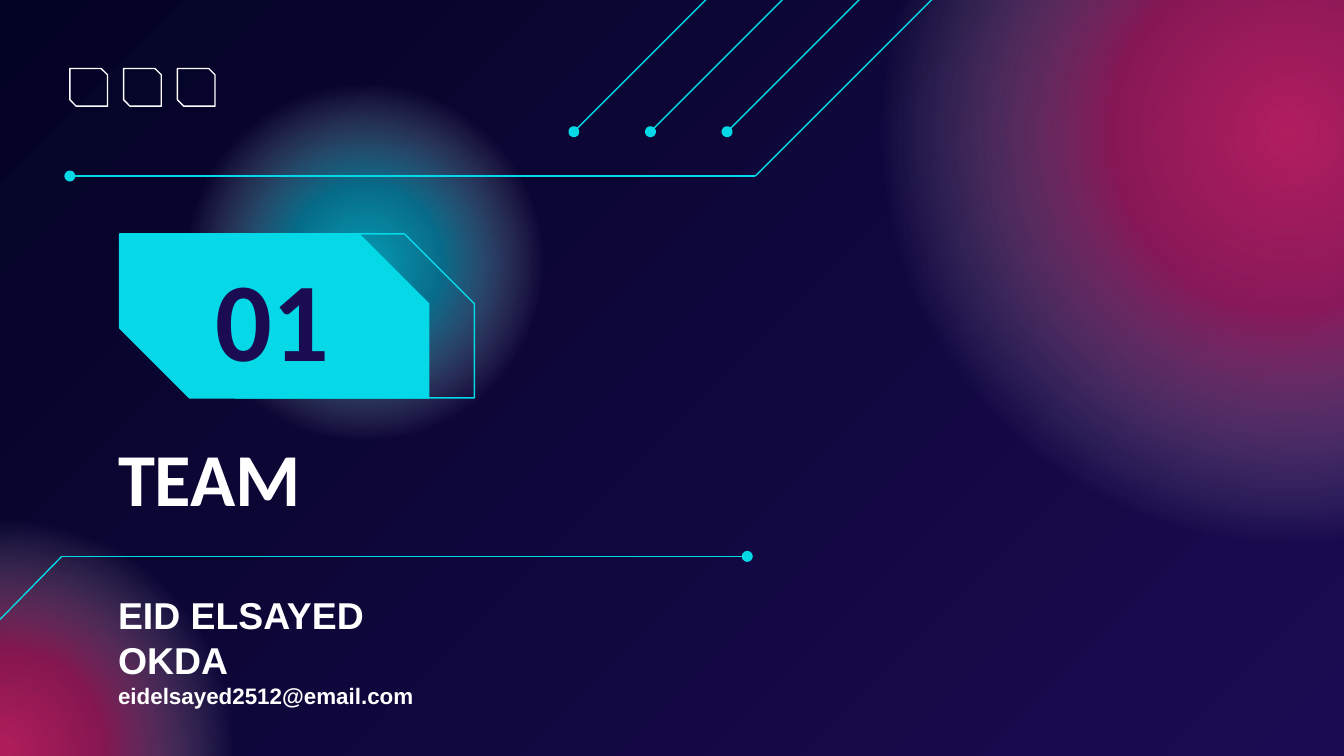
from lxml import etree
from pptx import Presentation
from pptx.dml.color import RGBColor
from pptx.enum.shapes import MSO_CONNECTOR as Connector, MSO_SHAPE as Shape
from pptx.enum.text import MSO_ANCHOR as Anchor, PP_ALIGN as Align
from pptx.oxml import parse_xml
from pptx.oxml.ns import nsdecls, qn
from pptx.util import Inches, Pt

CYAN, PINK, WHITE, NAVY, INDIGO = "05D8E7", "FF296D", "FFFFFF", "030325", "1B0B52"


def rgb(hex_color):
    return RGBColor.from_string(hex_color)


def inches(*lengths):
    return [Inches(length) for length in lengths]


deck = Presentation()
deck.slide_width = Inches(10)
deck.slide_height = Inches(10 * 9 / 16)
page = deck.slides.add_slide(deck.slide_layouts[6])

# Diagonal background
backdrop = page.background.fill
backdrop.gradient()
backdrop.gradient_angle = 315
for stop, color in zip(backdrop.gradient_stops, (NAVY, INDIGO)):
    stop.color.rgb = rgb(color)

# Glows: left, top, diameter, color, opacity percent at the centre and at 30 %
glows = [
    (-1.69, 3.83, 3.46, PINK, 67, 49),
    (6.47, -2.14, 6.25, PINK, 67, 49),
    (1.35, 0.59, 2.72, CYAN, 71, 48),
]
for left, top, size, color, centre, middle in glows:
    glow = page.shapes.add_shape(Shape.OVAL, *inches(left, top, size, size))
    glow.shadow.inherit = False
    glow.line.fill.background()
    glow.fill.gradient()
    stops = "".join(
        f'<a:gs pos="{position * 1000}"><a:srgbClr val="{stop_color}">'
        f'<a:alpha val="{opacity * 1000}"/></a:srgbClr></a:gs>'
        for position, stop_color, opacity in (
            (0, color, centre), (30, color, middle), (69, WHITE, 0), (100, WHITE, 0))
    )
    radial = parse_xml(
        f'<a:gradFill {nsdecls("a")} rotWithShape="1"><a:gsLst>{stops}</a:gsLst>'
        '<a:path path="circle"><a:fillToRect l="50000" t="50000" r="50000" b="50000"/>'
        "</a:path></a:gradFill>"
    )
    properties = glow._element.spPr
    properties.replace(properties.find(qn("a:gradFill")), radial)

# Snipped plates: left, top, width, height, snip, line color, fill color
plates = [(0.52 + 0.4 * i, 0.51, 0.28, 0.28, 0.167, WHITE, None) for i in range(3)]
plates += [
    (1.23, 1.74, 2.3, 1.22, 0.426, CYAN, None),
    (0.89, 1.74, 2.3, 1.22, 0.426, CYAN, CYAN),
]
for left, top, width, height, snip, line_color, fill_color in plates:
    plate = page.shapes.add_shape(
        Shape.SNIP_2_DIAG_RECTANGLE, *inches(left, top, width, height))
    plate.shadow.inherit = False
    plate.adjustments[0] = 0
    plate.adjustments[1] = snip
    plate.line.color.rgb = rgb(line_color)
    plate.line.width = Pt(0.75)
    if fill_color:
        plate.fill.solid()
        plate.fill.fore_color.rgb = rgb(fill_color)
    else:
        plate.fill.background()

# Texts: left, top, width, height, anchor, alignment, font, color, (text, size) lines
texts = [
    (0.78, 3.11, 4.91, 0.88, Anchor.MIDDLE, Align.LEFT, "Calibri", WHITE, [("TEAM", 40)]),
    (1.35, 1.75, 1.35, 1.21, Anchor.MIDDLE, Align.CENTER, "Calibri", INDIGO, [("01", 60)]),
    (0.78, 4.31, 2.65, 0.73, Anchor.TOP, Align.LEFT, "Arial", WHITE,
     [("EID ELSAYED OKDA", 20), ("eidelsayed2512@email.com", 12)]),
]
for left, top, width, height, anchor, alignment, font, color, lines in texts:
    box = page.shapes.add_textbox(*inches(left, top, width, height))
    frame = box.text_frame
    frame.word_wrap = True
    frame.vertical_anchor = anchor
    frame.margin_left = frame.margin_right = Inches(0.1)
    frame.margin_top = frame.margin_bottom = Inches(0.1)
    frame.text = "\n".join(text for text, size in lines)
    for para, (text, size) in zip(frame.paragraphs, lines):
        para.alignment = alignment
        para.font.name = font
        para.font.size = Pt(size)
        para.font.bold = True
        para.font.color.rgb = rgb(color)

# Circuit lines: start, end, and whether the end carries a dot
circuits = [
    (-0.04, 4.65, 0.46, 4.14, False),
    (0.46, 4.14, 5.56, 4.14, True),
    (6.94, -0.01, 5.62, 1.31, False),
    (5.62, 1.31, 0.52, 1.31, True),
]
circuits += [(5.33 + 0.57 * i, -0.08, 4.27 + 0.57 * i, 0.98, True) for i in (2, 1, 0)]
for *ends, dotted in circuits:
    circuit = page.shapes.add_connector(Connector.STRAIGHT, *inches(*ends))
    circuit.line.color.rgb = rgb(CYAN)
    circuit.line.width = Pt(0.75)
    properties = circuit._element.spPr
    if dotted:
        etree.SubElement(properties.find(qn("a:ln")), qn("a:tailEnd"), type="oval")
    etree.SubElement(properties, qn("a:effectLst"))

deck.save("out.pptx")
